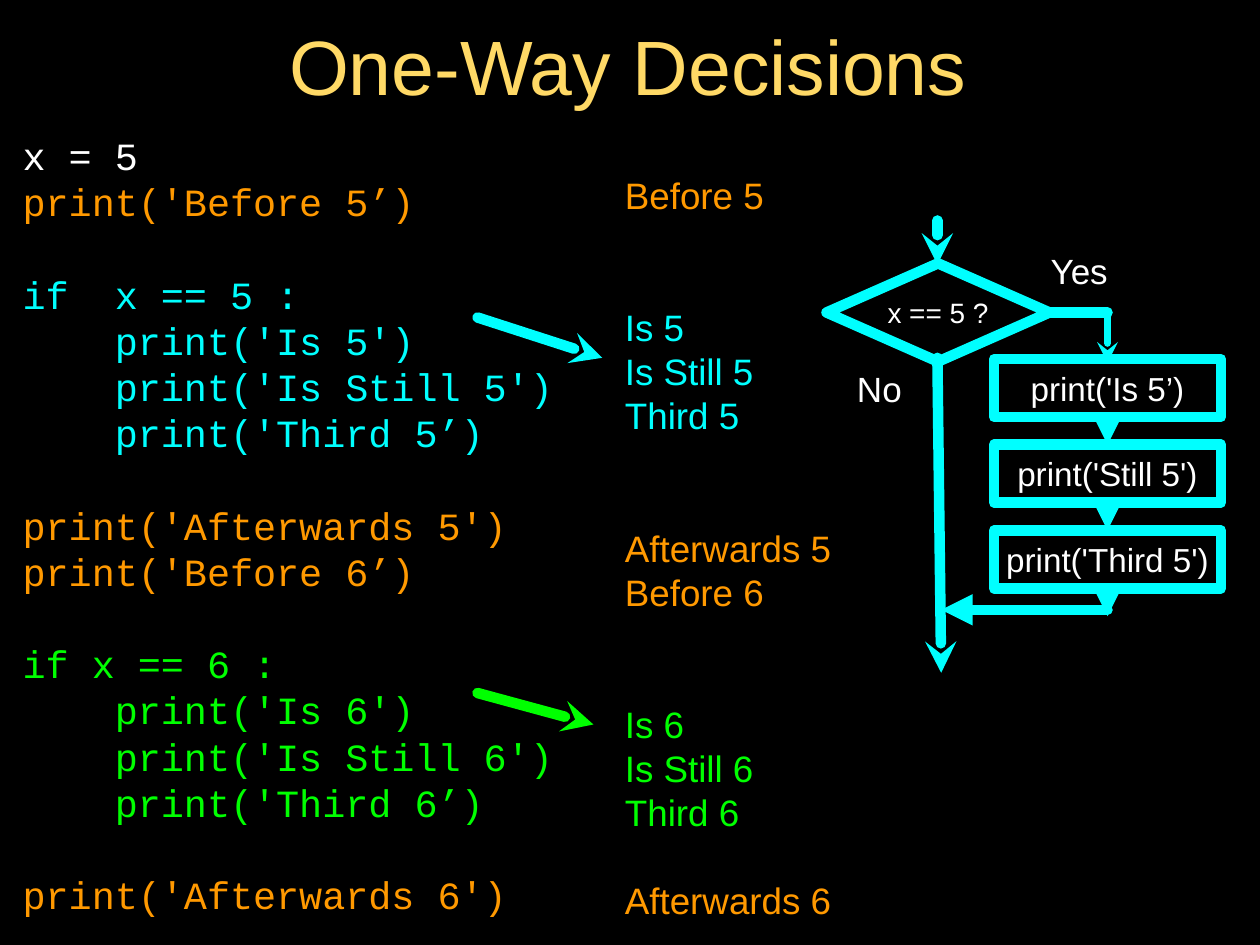
import pptx
import pptx.dml.color
import pptx.enum.shapes
import pptx.enum.text
import pptx.oxml.ns
import pptx.util
from lxml import etree
from pptx.util import Inches

COLORS = {
    "background": "000000",
    "title": "FFD966",
    "plain": "FFFFFF",
    "always": "FF9900",
    "five": "00FFFF",
    "six": "00FF00",
}

# Each block is a run of lines in one colour: (colour, blank lines before, lines)
CODE = [
    ("plain", 0, ["x = 5"]),
    ("always", 0, ["print('Before 5’)"]),
    ("five", 1, ["if  x == 5 :", "    print('Is 5')",
                 "    print('Is Still 5')", "    print('Third 5’)"]),
    ("always", 1, ["print('Afterwards 5')", "print('Before 6’)"]),
    ("six", 1, ["if x == 6 :", "    print('Is 6')",
                "    print('Is Still 6')", "    print('Third 6’)"]),
    ("always", 1, ["print('Afterwards 6')"]),
]
OUTPUT = [
    ("always", 0, ["Before 5"]),
    ("five", 2, ["Is 5", "Is Still 5", "Third 5"]),
    ("always", 2, ["Afterwards 5", "Before 6"]),
    ("six", 2, ["Is 6", "Is Still 6", "Third 6"]),
    ("always", 1, ["Afterwards 6"]),
]
STEPS = ["print('Is 5’)", "print('Still 5')", "print('Third 5')"]


def rgb(name):
    return pptx.dml.color.RGBColor.from_string(COLORS[name])


def format_text(paragraph, size, color, font="Arial"):
    for run in paragraph.runs:
        run.font.name = font
        run.font.size = pptx.util.Pt(size)
        run.font.color.rgb = rgb(color)


def set_margins(frame, margin):
    frame.margin_left = frame.margin_right = margin
    frame.margin_top = frame.margin_bottom = margin


def set_label(shape, text, size):
    frame = shape.text_frame
    set_margins(frame, 0)
    frame.word_wrap = False
    frame.vertical_anchor = pptx.enum.text.MSO_ANCHOR.MIDDLE
    frame.text = text
    frame.paragraphs[0].alignment = pptx.enum.text.PP_ALIGN.CENTER
    format_text(frame.paragraphs[0], size, "plain")


def style_line(shape, color, width, head=None):
    """Draw a rounded stroke, with an arrowhead at its end if one is named."""
    shape.line.color.rgb = rgb(color)
    shape.line.width = pptx.util.Pt(width)
    qn = pptx.oxml.ns.qn
    stroke = shape.element.find(qn("p:spPr")).find(qn("a:ln"))
    stroke.set("cap", "rnd")
    etree.SubElement(stroke, qn("a:round"))
    if head:
        etree.SubElement(stroke, qn("a:tailEnd"), type=head)


def add_line(slide, start, end, color="five", width=6, head=None):
    line = slide.shapes.add_connector(
        pptx.enum.shapes.MSO_CONNECTOR.STRAIGHT,
        *[Inches(value) for value in (*start, *end)])
    style_line(line, color, width, head)
    properties = line.element.find(pptx.oxml.ns.qn("p:spPr"))
    etree.SubElement(properties, pptx.oxml.ns.qn("a:effectLst"))


def add_flow_shape(slide, preset, box, text, size):
    shape = slide.shapes.add_shape(preset, *[Inches(value) for value in box])
    shape.shadow.inherit = False
    shape.fill.background()
    style_line(shape, "five", 6)
    set_label(shape, text, size)


def add_title(slide, box):
    title = slide.shapes.title
    title.left, title.top, title.width, title.height = [Inches(v) for v in box]
    frame = title.text_frame
    set_margins(frame, Inches(0.02))
    frame.vertical_anchor = pptx.enum.text.MSO_ANCHOR.MIDDLE
    frame.text = "One-Way Decisions"
    frame.paragraphs[0].alignment = pptx.enum.text.PP_ALIGN.CENTER
    format_text(frame.paragraphs[0], 44, "title")


def add_listing(slide, box, inset, blocks, size, font):
    """Set coloured lines on a fixed pitch, with whole-line gaps between blocks."""
    listing = slide.shapes.add_textbox(*[Inches(value) for value in box])
    frame = listing.text_frame
    set_margins(frame, 0)
    frame.margin_top = Inches(inset)
    frame.word_wrap = True
    frame.vertical_anchor = pptx.enum.text.MSO_ANCHOR.TOP
    pitch = 1.2 * size
    lines = [(text, color, 0 if index else gap)
             for color, gap, texts in blocks
             for index, text in enumerate(texts)]
    frame.text = "\n".join(text for text, _, _ in lines)
    for paragraph, (_, color, gap) in zip(frame.paragraphs, lines):
        paragraph.line_spacing = pptx.util.Pt(pitch)
        paragraph.space_before = pptx.util.Pt(gap * pitch)
        format_text(paragraph, size, color, font)


def add_flowchart(slide, left, top):
    def at(x, y):
        return left + x, top + y

    def add_branch_label(box, text):
        x, y, width, height = box
        label = slide.shapes.add_textbox(
            *[Inches(v) for v in (*at(x, y), width, height)])
        set_label(label, text, 20)

    presets = pptx.enum.shapes.MSO_SHAPE
    step_x, step_y, step_width, step_height = 1.33, 1.1, 1.8, 0.46
    step_pitch = 0.68
    yes_x = step_x + step_width / 2

    add_line(slide, at(0.88, 0), at(0.88, 0.35), head="stealth")
    add_flow_shape(slide, presets.DIAMOND, (*at(0, 0.34), 1.77, 0.78),
                   "x == 5 ?", 16)
    add_line(slide, at(0.88, 1.09), at(0.91, 3.59), head="stealth")
    add_line(slide, at(1.76, 0.73), at(yes_x, 0.73))
    add_line(slide, at(yes_x, 0.73), at(yes_x, 1.13), width=4, head="stealth")
    add_line(slide, at(yes_x, 3.09), at(0.91, 3.09), head="triangle")
    add_branch_label((1.66, 0.21, 0.69, 0.38), "Yes")
    add_branch_label((0.2, 1.14, 0.44, 0.38), "No")

    for index, step in enumerate(STEPS):
        y = step_y + index * step_pitch
        add_flow_shape(slide, presets.RECTANGLE,
                       (*at(step_x, y), step_width, step_height), step, 19)
        add_line(slide, at(yes_x, y + step_height), at(yes_x, y + step_pitch),
                 head="triangle")


def main():
    deck = pptx.Presentation()
    deck.slide_width, deck.slide_height = Inches(10), Inches(7.5)
    slide = deck.slides.add_slide(deck.slide_layouts.get_by_name("Title Only"))
    slide.background.fill.solid()
    slide.background.fill.fore_color.rgb = rgb("background")

    add_title(slide, (2.06, 0.18, 5.85, 0.66))
    add_listing(slide, (0.18, 0.84, 4.77, 6.59), 0.21, CODE, 22, "Courier New")
    add_listing(slide, (4.96, 0.84, 1.81, 6.66), 0.53, OUTPUT, 21, "Arial")
    add_line(slide, (3.79, 2.52), (4.78, 2.84), "five", head="stealth")
    add_line(slide, (3.79, 5.5), (4.71, 5.75), "six", head="stealth")
    add_flowchart(slide, 6.56, 1.75)
    deck.save("out.pptx")


if __name__ == "__main__":
    main()
